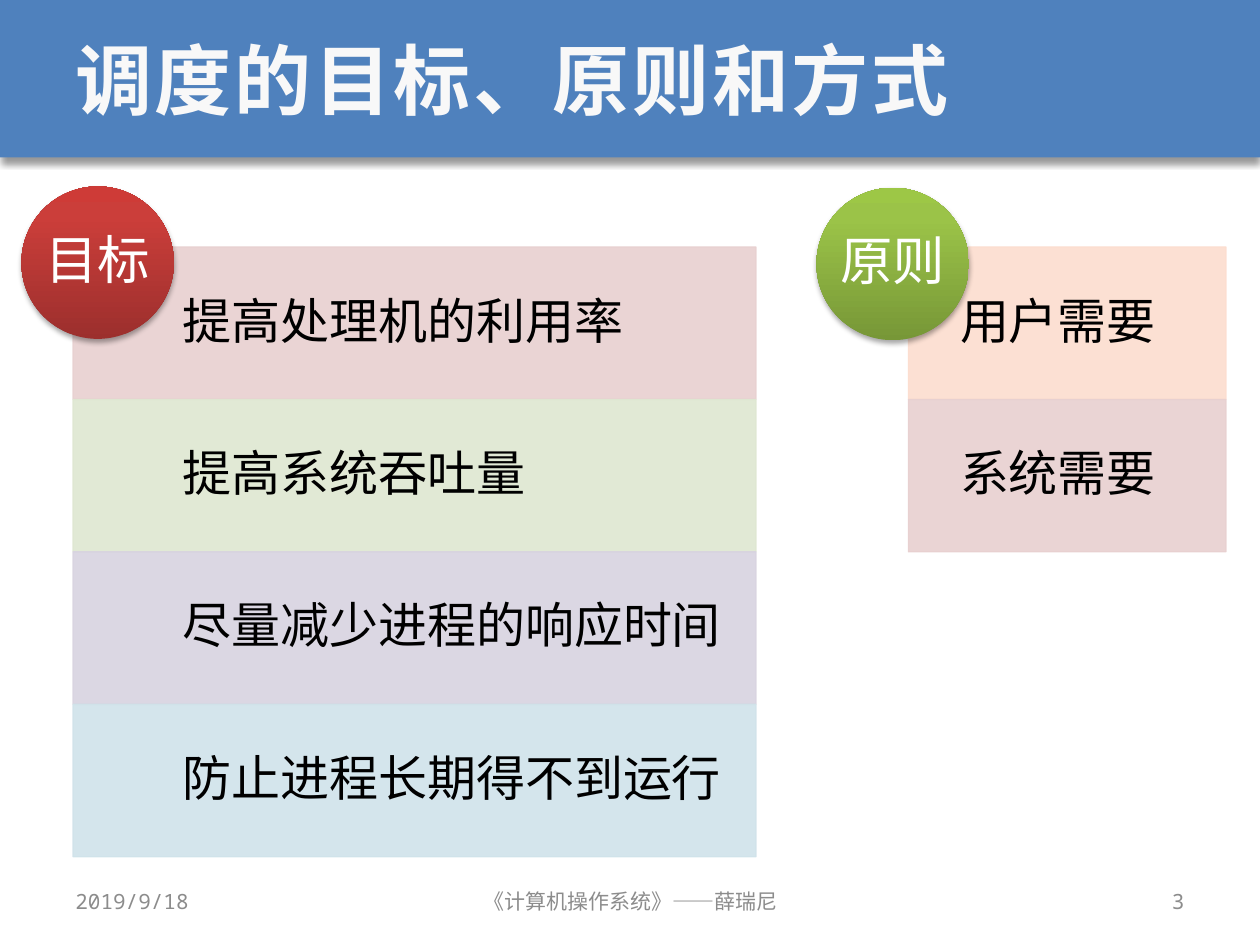
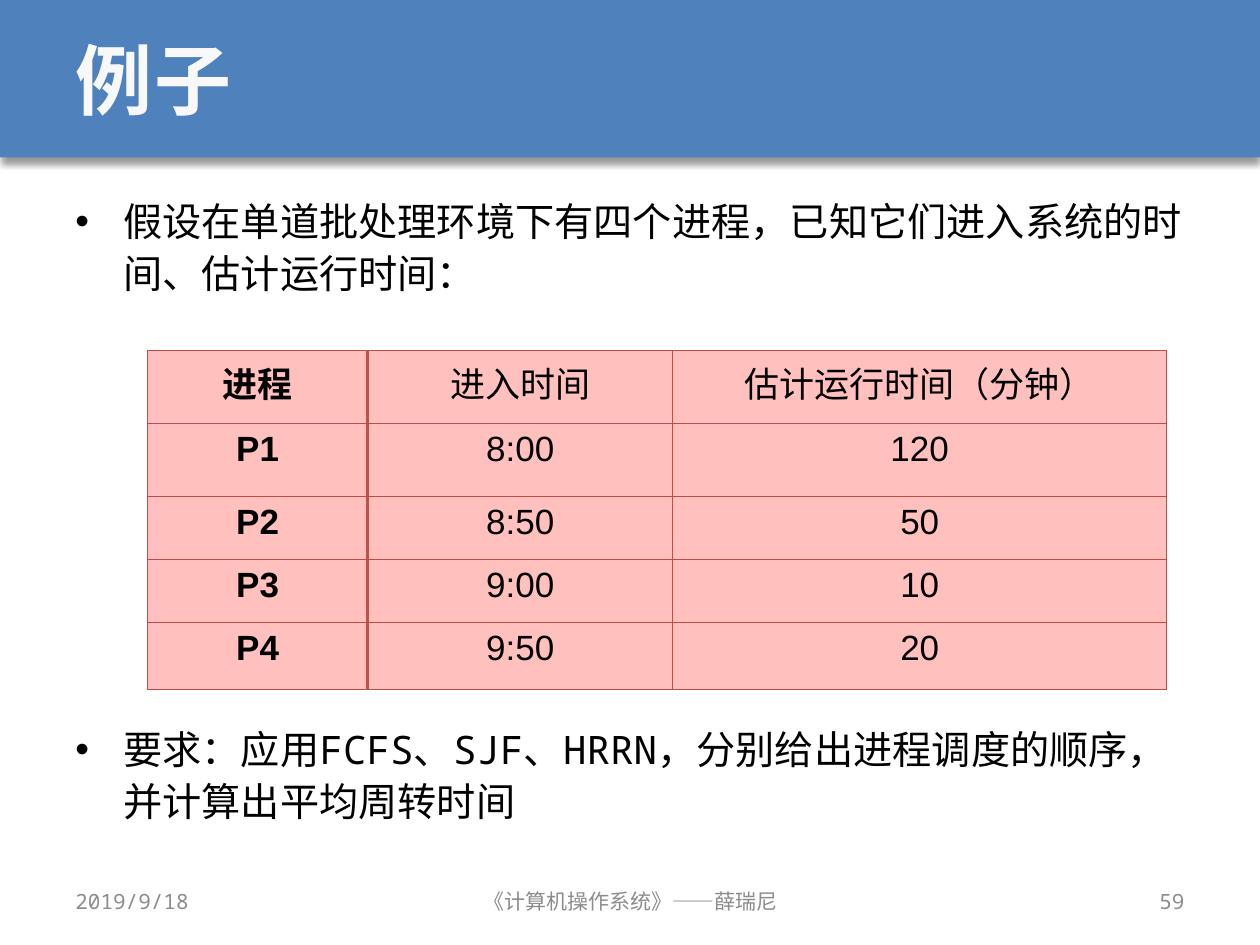
import pptx
import pptx.util
import pptx.dml.color
import pptx.enum.lang
import pptx.enum.shapes
import pptx.enum.text
import pptx.oxml
import pptx.oxml.ns
import copy
from lxml import etree

Inches = pptx.util.Inches
Pt = pptx.util.Pt
RGBColor = pptx.dml.color.RGBColor
Align = pptx.enum.text.PP_ALIGN
Anchor = pptx.enum.text.MSO_ANCHOR
Shape = pptx.enum.shapes.MSO_SHAPE
qn = pptx.oxml.ns.qn

BLUE = RGBColor(0x4F, 0x81, 0xBD)
TITLE_WHITE = RGBColor(0xF8, 0xF8, 0xF8)
WHITE = RGBColor(0xFF, 0xFF, 0xFF)
BLACK = RGBColor(0, 0, 0)
GREY = RGBColor(0x8C, 0x8C, 0x8C)
ROSE = RGBColor(0xE8, 0xD0, 0xD0)
SAGE = RGBColor(0xDE, 0xE7, 0xD1)
LILAC = RGBColor(0xD8, 0xD3, 0xE0)
SKY = RGBColor(0xD0, 0xE3, 0xEA)
PEACH = RGBColor(0xFC, 0xDD, 0xCF)
RED_STOPS = [RGBColor(0x9C, 0x2F, 0x2D), RGBColor(0xCB, 0x3E, 0x3A), RGBColor(0xCE, 0x3B, 0x37)]
GREEN_STOPS = [RGBColor(0x77, 0x97, 0x37), RGBColor(0x9B, 0xC3, 0x48), RGBColor(0x9D, 0xC7, 0x46)]
CELL_PINK = RGBColor(0xFF, 0xC0, 0xBE)
BORDER_RED = RGBColor(0xBF, 0x4C, 0x48)
DIVIDER_RED = RGBColor(0xC0, 0x50, 0x4D)

MONO = "Noto Sans Mono"
SANS = "Arial"


def write_text(frame, text, size, font=SANS, color=BLACK, bold=False, align=Align.LEFT,
               anchor=Anchor.MIDDLE, margins=(0.1, 0.05, 0.1, 0.05),
               line_spacing=None, letter_spacing=None, bullet=False):
    frame.word_wrap = True
    frame.vertical_anchor = anchor
    (frame.margin_left, frame.margin_top,
     frame.margin_right, frame.margin_bottom) = [Inches(margin) for margin in margins]
    paragraph = frame.paragraphs[0]
    paragraph.alignment = align
    if line_spacing:
        paragraph.line_spacing = line_spacing
    if bullet:
        properties = paragraph._p.get_or_add_pPr()
        properties.set("marL", str(Inches(0.38)))
        properties.set("indent", str(-Inches(0.38)))
        etree.SubElement(properties, qn("a:buFont"), typeface=SANS)
        etree.SubElement(properties, qn("a:buChar"), char="•")
    run = paragraph.add_run()
    run.text = text
    run.font.name = font
    run.font.size = Pt(size)
    run.font.bold = bold
    run.font.color.rgb = color
    run.font.language_id = pptx.enum.lang.MSO_LANGUAGE_ID.SIMPLIFIED_CHINESE
    if letter_spacing:
        run._r.get_or_add_rPr().set("spc", str(int(letter_spacing * 100)))


def add_plain_shape(slide, kind, left, top, width, height, shadow=None):
    shape = slide.shapes.add_shape(kind, Inches(left), Inches(top), Inches(width), Inches(height))
    shape.line.fill.background()
    shape.shadow.inherit = False
    if shadow:
        opacity, blur, distance = shadow
        outer = etree.SubElement(
            shape._element.spPr.find(qn("a:effectLst")), qn("a:outerShdw"),
            blurRad=str(Pt(blur)), dist=str(Pt(distance)), dir="5400000", rotWithShape="0")
        black = etree.SubElement(outer, qn("a:srgbClr"), val="000000")
        etree.SubElement(black, qn("a:alpha"), val=str(opacity * 1000))
    return shape


presentation = pptx.Presentation()
presentation.slide_width = Inches(10)
presentation.slide_height = Inches(7.5)

# Title band and footer on every slide
slides = []
for title, number in [("调度的目标、原则和方式", "3"), ("例子", "59")]:
    slide = presentation.slides.add_slide(presentation.slide_layouts[6])
    slides.append(slide)
    band = add_plain_shape(slide, Shape.RECTANGLE, 0, 0, 10, 1.25, shadow=(40, 4, 3))
    band.fill.solid()
    band.fill.fore_color.rgb = BLUE
    title_box = slide.shapes.add_textbox(Inches(0.5), 0, Inches(9), Inches(1.25))
    write_text(title_box.text_frame, title, 44, font=MONO, color=TITLE_WHITE, bold=True,
               letter_spacing=1.5)
    for text, left, width, align in [
        ("2019/9/18", 0.5, 2.33, Align.LEFT),
        ("《计算机操作系统》——薛瑞尼", 3.42, 3.17, Align.CENTER),
        (number, 7.17, 2.33, Align.RIGHT),
    ]:
        footer = slide.shapes.add_textbox(Inches(left), Inches(6.95), Inches(width), Inches(0.4))
        write_text(footer.text_frame, text, 12, font=MONO, color=GREY, align=align)
goals_slide, example_slide = slides

# Stacked rows, each group headed by a circle
ROW_TOP, ROW_HEIGHT, CIRCLE_SIZE = 1.96, 1.21, 1.21
groups = [
    ("目标", RED_STOPS, 0.17, 1.48, 0.58, 5.42, 0.87,
     [("提高处理机的利用率", ROSE), ("提高系统吞吐量", SAGE),
      ("尽量减少进程的响应时间", LILAC), ("防止进程长期得不到运行", SKY)]),
    ("原则", GREEN_STOPS, 6.48, 1.49, 7.21, 2.52, 0.41,
     [("用户需要", PEACH), ("系统需要", ROSE)]),
]
for heading, stop_colors, circle_left, circle_top, left, width, indent, rows in groups:
    for index, (text, color) in enumerate(rows):
        row = add_plain_shape(goals_slide, Shape.RECTANGLE, left, ROW_TOP + index * ROW_HEIGHT,
                              width, ROW_HEIGHT)
        row.fill.solid()
        row.fill.fore_color.rgb = color
        row.line.color.rgb = color
        row.line.width = Pt(0.75)
        for rgb in row._element.spPr.iter(qn("a:srgbClr")):
            etree.SubElement(rgb, qn("a:alpha"), val="90000")
        write_text(row.text_frame, text, 28, margins=(indent, 0.22, 0.22, 0.22), line_spacing=0.9)

    circle = add_plain_shape(goals_slide, Shape.OVAL, circle_left, circle_top,
                             CIRCLE_SIZE, CIRCLE_SIZE, shadow=(35, 3.1, 1.8))
    circle.fill.gradient()
    circle.fill.gradient_angle = 90
    stop_list = next(circle._element.spPr.iter(qn("a:gsLst")))
    stop_list.append(copy.deepcopy(stop_list[-1]))
    for stop, position, color in zip(circle.fill.gradient_stops, (0, 0.8, 1), stop_colors):
        stop.position = position
        stop.color.rgb = color
    write_text(circle.text_frame, heading, 30, color=WHITE, align=Align.CENTER,
               margins=(0, 0, 0, 0), line_spacing=0.9)

# Task and question around the table
for text, top in [
    ("假设在单道批处理环境下有四个进程，已知它们进入系统的时间、估计运行时间：", 1.48),
    ("要求：应用FCFS、SJF、HRRN，分别给出进程调度的顺序，并计算出平均周转时间", 5.67),
]:
    body = example_slide.shapes.add_textbox(Inches(0.5), Inches(top), Inches(9), Inches(1.1))
    write_text(body.text_frame, text, 22.4, font=MONO, anchor=Anchor.TOP,
               line_spacing=1.1, bullet=True)

# Process table
processes = [
    ("进程", "进入时间", "估计运行时间（分钟）"),
    ("P1", "8:00", "120"),
    ("P2", "8:50", "50"),
    ("P3", "9:00", "10"),
    ("P4", "9:50", "20"),
]
column_widths = [1.75, 2.42, 3.92]
row_heights = [0.58, 0.58, 0.5, 0.5, 0.53]
table = example_slide.shapes.add_table(
    len(processes), len(column_widths), Inches(1.17), Inches(2.78),
    Inches(sum(column_widths)), Inches(sum(row_heights))).table
table.first_row = False
table.horz_banding = False
for column, width in zip(table.columns, column_widths):
    column.width = Inches(width)
for row, height, values in zip(table.rows, row_heights, processes):
    row.height = Inches(height)
    for index, (cell, value) in enumerate(zip(row.cells, values)):
        write_text(cell.text_frame, value, 20, bold=index == 0, align=Align.CENTER)
        cell.vertical_anchor = Anchor.TOP
        properties = cell._tc.get_or_add_tcPr()
        for side in ("L", "R", "T", "B"):
            is_divider = (index, side) in [(0, "R"), (1, "L")]
            border = etree.SubElement(properties, qn("a:ln" + side),
                                      w=str(Pt(2 if is_divider else 0.75)))
            border_fill = etree.SubElement(border, qn("a:solidFill"))
            etree.SubElement(border_fill, qn("a:srgbClr"),
                             val=str(DIVIDER_RED if is_divider else BORDER_RED))
        cell.fill.solid()
        cell.fill.fore_color.rgb = CELL_PINK

presentation.save("out.pptx")
